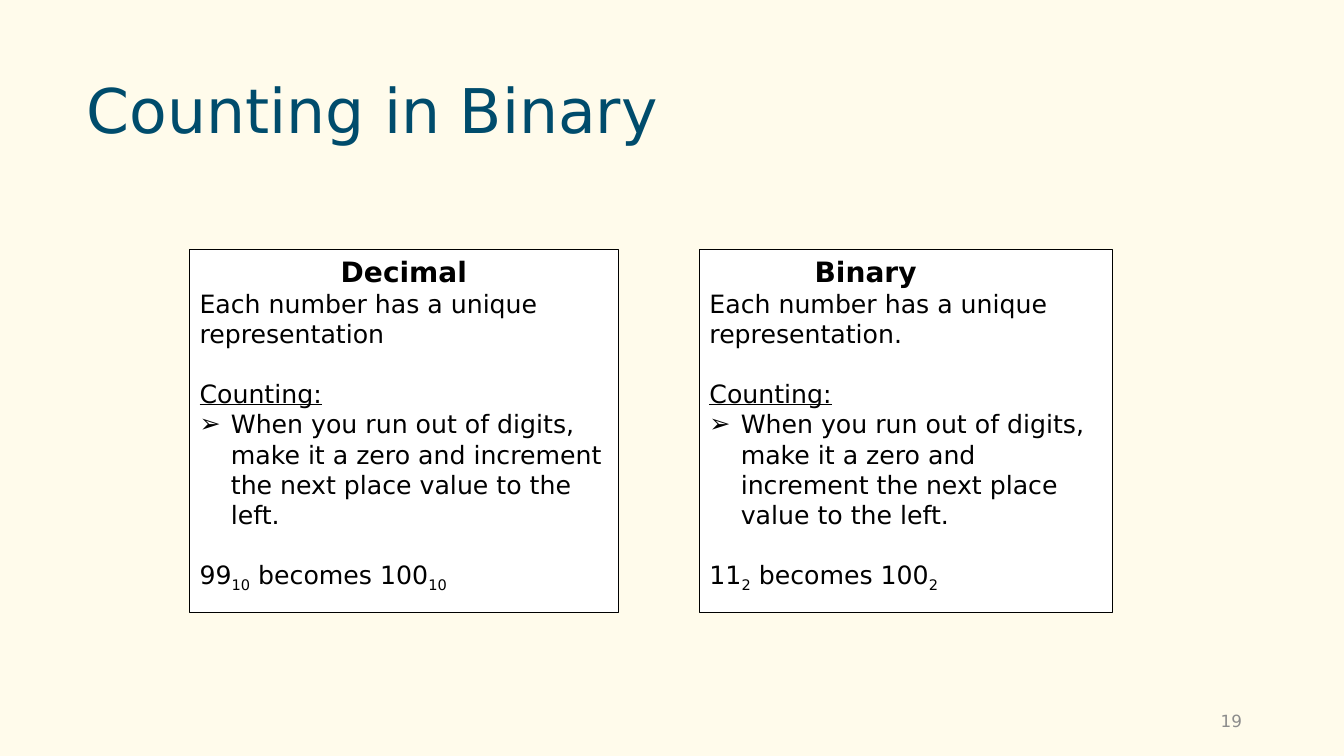
from dataclasses import dataclass

from lxml import etree
from pptx import Presentation
from pptx import util as u
from pptx.dml import color
from pptx.enum import shapes, text
from pptx.oxml import ns


@dataclass(frozen=True)
class Theme:
    font: str = "DejaVu Sans"
    background: str = "FFFBEB"
    title: str = "004C6C"
    ink: str = "000000"
    panel: str = "FFFFFF"
    muted: str = "8C8C8C"
    title_size: int = 44
    heading_size: int = 20
    body_size: int = 18
    number_size: int = 12
    section_gap: int = 21


THEME = Theme()
COUNTING_RULE = ("When you run out of digits, make it a zero and increment "
                 "the next place value to the left.")
PANEL_TOP, PANEL_HEIGHT = 6.3, 9.14
PANELS = [
    {"box": (4.78, PANEL_TOP, 10.8, PANEL_HEIGHT), "heading": "Decimal",
     "heading_format": {"alignment": text.PP_ALIGN.CENTER},
     "heading_indent": 0,
     "claim": "Each number has a unique representation",
     "before": "99", "after": "100", "base": "10"},
    {"box": (17.63, PANEL_TOP, 10.41, PANEL_HEIGHT), "heading": "Binary",
     "heading_format": {"alignment": text.PP_ALIGN.LEFT},
     "heading_indent": 2.65,
     "claim": "Each number has a unique representation.",
     "before": "11", "after": "100", "base": "2"},
]


def apply_format(target, values):
    for name, value in values.items():
        setattr(target, name, value)


def place(shape, box):
    names = ("left", "top", "width", "height")
    apply_format(shape, dict(zip(names, map(u.Cm, box))))


def add_run(paragraph, words, size, ink=THEME.ink, subscript=False, **values):
    run = paragraph.add_run()
    run.text = words
    apply_format(run.font, {"name": THEME.font, "size": u.Pt(size), **values})
    run.font.color.rgb = color.RGBColor.from_string(ink)
    if subscript:
        run._r.get_or_add_rPr().set("baseline", "-25000")


def indent(paragraph, margin, first_line=0):
    properties = paragraph._p.get_or_add_pPr()
    properties.set("marL", str(u.Cm(margin)))
    properties.set("indent", str(u.Cm(first_line)))
    return properties


def add_bullet(paragraph):
    properties = indent(paragraph, 0.79, -0.79)
    bullet_font = etree.SubElement(properties, ns.qn("a:buFont"))
    bullet_font.set("typeface", THEME.font)
    etree.SubElement(properties, ns.qn("a:buChar")).set("char", "➢")


def add_title(slide, box):
    title = slide.shapes.title
    place(title, box)
    apply_format(title.text_frame, {
        "auto_size": text.MSO_AUTO_SIZE.NONE, "word_wrap": True,
        "vertical_anchor": text.MSO_ANCHOR.MIDDLE})
    paragraph = title.text_frame.paragraphs[0]
    apply_format(paragraph, {"alignment": text.PP_ALIGN.LEFT,
                             "line_spacing": 0.9})
    add_run(paragraph, "Counting in Binary", THEME.title_size, THEME.title)


def add_slide_number(slide, box):
    number = slide.shapes.add_textbox(*map(u.Cm, box))
    apply_format(number.text_frame, {
        "word_wrap": True, "vertical_anchor": text.MSO_ANCHOR.MIDDLE})
    paragraph = number.text_frame.paragraphs[0]
    paragraph.alignment = text.PP_ALIGN.RIGHT
    add_run(paragraph, "19", THEME.number_size, THEME.muted)


def add_panel(slide, panel):
    shape = slide.shapes.add_shape(shapes.MSO_SHAPE.RECTANGLE,
                                   *map(u.Cm, panel["box"]))
    shape.shadow.inherit = False
    shape.fill.solid()
    shape.fill.fore_color.rgb = color.RGBColor.from_string(THEME.panel)
    shape.line.color.rgb = color.RGBColor.from_string(THEME.ink)
    shape.line.width = u.Pt(0.75)
    frame = shape.text_frame
    apply_format(frame, {"word_wrap": True,
                         "vertical_anchor": text.MSO_ANCHOR.TOP})

    heading = frame.paragraphs[0]
    claim, counting, rule, example = (frame.add_paragraph() for _ in range(4))
    for paragraph in (claim, counting, rule, example):
        paragraph.alignment = text.PP_ALIGN.LEFT
    for paragraph in (counting, example):
        paragraph.space_before = u.Pt(THEME.section_gap)

    apply_format(heading, panel["heading_format"])
    indent(heading, panel["heading_indent"])
    add_run(heading, panel["heading"], THEME.heading_size, bold=True)
    add_run(claim, panel["claim"], THEME.body_size)
    add_run(counting, "Counting:", THEME.body_size, underline=True)
    add_bullet(rule)
    add_run(rule, COUNTING_RULE, THEME.body_size)
    for words in (panel["before"], f" becomes {panel['after']}"):
        add_run(example, words, THEME.body_size)
        add_run(example, panel["base"], THEME.body_size, subscript=True)


def build_comparison_slide(presentation):
    slide = presentation.slides.add_slide(presentation.slide_layouts[5])
    slide.background.fill.solid()
    slide.background.fill.fore_color.rgb = color.RGBColor.from_string(
        THEME.background)
    add_title(slide, (1.93, 1.02, 30, 3.68))
    add_slide_number(slide, (23.93, 17.65, 7.62, 1.02))
    for panel in PANELS:
        add_panel(slide, panel)


def main():
    presentation = Presentation()
    apply_format(presentation, {"slide_width": u.Cm(33.87),
                                "slide_height": u.Cm(19.05)})
    build_comparison_slide(presentation)
    presentation.save("out.pptx")


if __name__ == "__main__":
    main()
